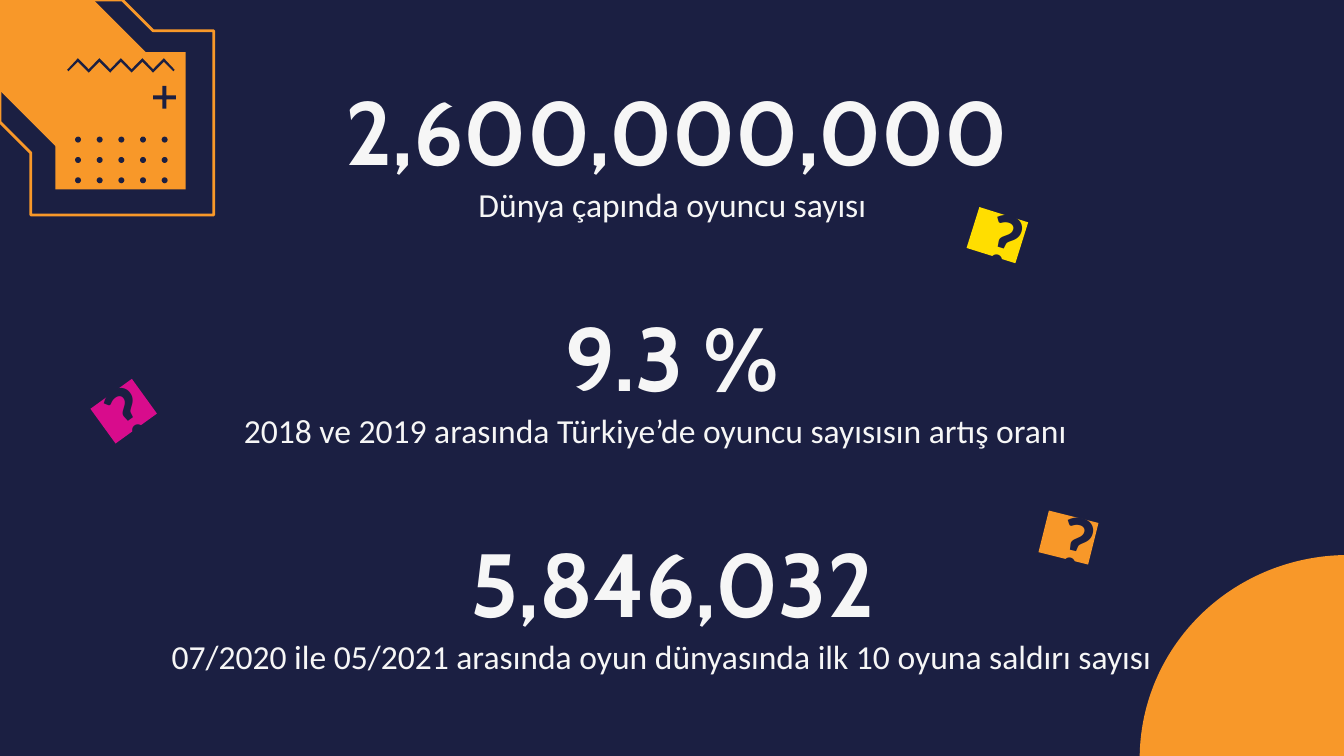
"""Build a slide with three key gaming figures on a decorated dark background."""
from itertools import product

from pptx import Presentation
from pptx.dml.color import RGBColor
from pptx.enum import shapes, text
from pptx.util import Pt

HUES = {"navy": "1B1F42", "orange": "F89829", "yellow": "FFDE00",
        "pink": "D80C8C", "white": "F6F6F6"}
FACTS = [
    ("2,600,000,000", 391, "Dünya çapında oyuncu sayısı", 167, 386.6),
    ("9.3 %", 386.6, " 2018 ve 2019 arasında Türkiye’de oyuncu sayısısın artış oranı",
     109.4, 479.5),
    ("5,846,032", 386.6,
     "07/2020 ile 05/2021 arasında oyun dünyasında ilk 10 oyuna saldırı sayısı",
     84.2, 540.7),
]
TILES = [("yellow", 520.6, 114.5, 17.4, 2.2), ("pink", 52.6, 208.8, 324.1, -1.4),
         ("orange", 558.7, 276.5, 14.1, 2.2)]
KINDS = shapes.MSO_SHAPE


def tint(name):
    return RGBColor.from_string(HUES[name])


def paint(shape, fill=None, line=None):
    shape.shadow.inherit = False
    if fill:
        shape.fill.solid()
        shape.fill.fore_color.rgb = tint(fill)
    else:
        shape.fill.background()
    if line:
        shape.line.color.rgb = tint(line)
        shape.line.width = Pt(1.5)
    else:
        shape.line.fill.background()


def add_form(slide, kind, box, fill, line=None, turn=0):
    shape = slide.shapes.add_shape(kind, *map(Pt, box))
    shape.rotation = turn
    paint(shape, fill, line)
    return shape


def add_path(slide, points, fill=None, line=None):
    dots = [(Pt(x), Pt(y)) for x, y in points]
    pen = slide.shapes.build_freeform(*dots[0])
    pen.add_line_segments(dots[1:], close=True)
    paint(pen.convert_to_shape(), fill, line)


def set_text(shape, box, words, size, font, hue="white", bold=False, space=1.0):
    shape.left, shape.top, shape.width, shape.height = map(Pt, box)
    frame = shape.text_frame
    frame.word_wrap = True
    frame.auto_size = text.MSO_AUTO_SIZE.NONE
    frame.vertical_anchor = text.MSO_ANCHOR.MIDDLE
    frame.margin_left = frame.margin_right = Pt(7.2)
    frame.margin_top = frame.margin_bottom = Pt(7.2)
    frame.text = words
    para = frame.paragraphs[0]
    para.alignment = text.PP_ALIGN.CENTER
    para.line_spacing = space
    para.font.size = Pt(size)
    para.font.name = font
    para.font.bold = bold
    para.font.color.rgb = tint(hue)


def add_box(slide):
    return slide.shapes.add_textbox(0, 0, 0, 0)


def add_corner(slide):
    add_form(slide, KINDS.RECTANGLE, (-7.2, -13, 69.8, 79.9), "orange", turn=135)
    add_path(slide, [(65.5, 0), (82, 16.5), (114.5, 16.5), (114.5, 115.2),
                     (16.5, 115.2), (16.5, 82), (0, 65.5), (0, 0)], line="orange")
    add_form(slide, KINDS.RECTANGLE, (29.7, 27.9, 69.8, 73.6), "orange")
    for col, row in product(range(5), range(3)):
        add_form(slide, KINDS.OVAL, (40.2 + 11.6 * col, 73.2 + 10.9 * row, 3.2, 3.2),
                 "navy")
    steps = [(41.8 + 5.75 * i, i % 2) for i in range(9)]
    upper = [(x, 37.1 if low else 31.2) for x, low in steps]
    lower = [(x, 38.9 if low else 33.1) for x, low in steps]
    add_path(slide, [(36, 37.4), *upper, (93.6, 37.4), (92.9, 38.2),
                     *reversed(lower), (36.7, 38.2)], "navy")
    plus = add_form(slide, KINDS.CROSS, (82, 46.1, 12.2, 12.2), "navy")
    plus.adjustments[0] = 0.41


def add_arc(slide):
    arc = add_form(slide, KINDS.ARC, (611.3, 298.1, 221.8, 216.7), "orange", "orange")
    for i, angle in enumerate((179.74, 18)):
        arc.adjustments[i] = angle * 0.6


def add_facts(slide):
    for i, (figure, wide, note, left, width) in enumerate(FACTS):
        top = 42.5 + 121 * i
        head = add_box(slide) if i else slide.shapes.title
        set_text(head, (167, top, wide, 54), figure, 48, "Cabin", bold=True)
        set_text(add_box(slide), (left, top + 54, width, 30.2), note, 18, "Calibri",
                 space=0.8)


def add_tile(slide, hue, left, top, turn, shift):
    add_form(slide, KINDS.RECTANGLE, (left, top, 27.4, 23), hue, turn=turn)
    mark = add_box(slide)
    mark.rotation = turn
    set_text(mark, (left + shift, top - 2.2, 27.4, 28.1), "?", 40, "Calibri",
             "navy", True)


def main():
    deck = Presentation()
    deck.slide_width, deck.slide_height = Pt(720), Pt(405)
    slide = deck.slides.add_slide(deck.slide_layouts[5])
    slide.background.fill.solid()
    slide.background.fill.fore_color.rgb = tint("navy")
    add_corner(slide)
    add_arc(slide)
    add_facts(slide)
    for tile in TILES:
        add_tile(slide, *tile)
    deck.save("out.pptx")


if __name__ == "__main__":
    main()
